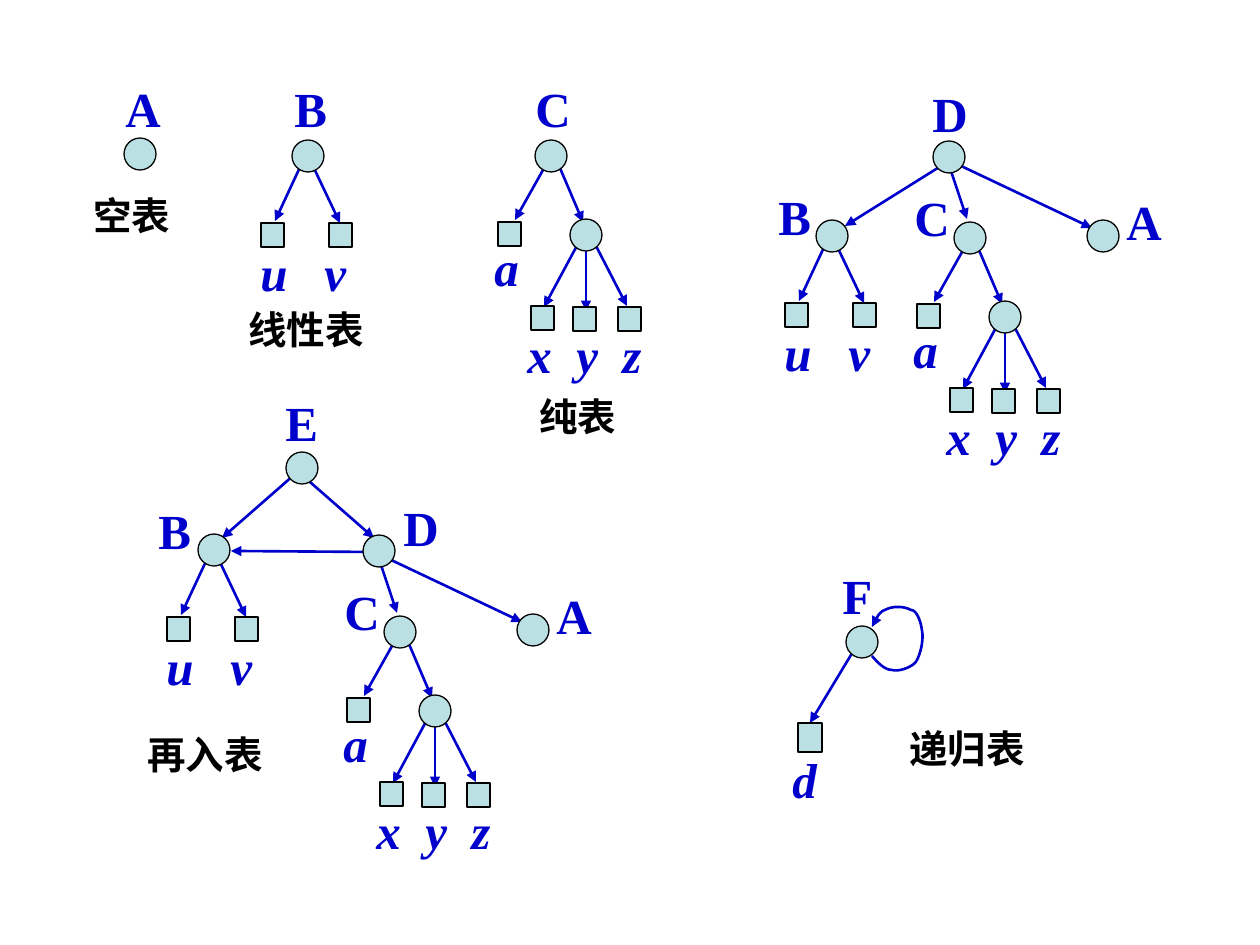
"""Draw generalized lists A to F as node-and-arrow trees on one slide."""
from lxml import etree
from pptx import Presentation
from pptx.dml.color import RGBColor
from pptx.enum.shapes import MSO_CONNECTOR, MSO_SHAPE
from pptx.oxml.ns import qn
from pptx.util import Pt

ELLIPSE, SQUARE = MSO_SHAPE.OVAL, MSO_SHAPE.RECTANGLE
STRAIGHT = MSO_CONNECTOR.STRAIGHT
EMU_PER_PX = 914400 / 126
FONT = "Times New Roman"
COLORS = {"ink": "0000CC", "node": "BBE0E3", "black": "000000"}
NODE_SIZE, LEAF_SIZE, LABEL_SIZE = 32, (23, 24), (64, 72)
CURVE_STEPS = 8

# Offsets within a tree are measured from the centre of its root.
TREES = {
    "A": {},
    "B": {
        "edges": [(-6, 7, -33, 65), (4, 8, 32, 67)],
        "leaves": [(-47, 67), (21, 67)],
        "text": ("u\tv", -60, 80, 120, (64,)),
    },
    "C": {
        "edges": [(-4, 7, -36, 64), (6, 5, 32, 66)],
        "leaves": [(-53, 66)],
        "text": ("a", -69, 75, 60, ()),
        "children": [("fan", 35, 79)],
    },
    "fan": {
        "edges": [(-7, 7, -42, 72), (0, -3, 0, 76), (8, 7, 41, 71)],
        "leaves": [(-55, 71), (-13, 72), (32, 72)],
        "text": ("x\ty\tz", -71, 83, 150, (49, 95)),
    },
    "D": {
        "edges": [(1, 11, 18, 62), (10, 8, 143, 71)],
        "children": [("C", 21, 81), ("A", 154, 79)],
        "labels": [("C", -47, 24), ("A", 165, 28)],
    },
    "E": {"edges": [(-8, 7, -80, 70), (0, 7, 72, 70), (70, 84, -71, 83)]},
    "F": {
        "edges": [(-8, 8, -52, 81)],
        "leaves": [(-64, 81)],
        "leaf_size": (24, 29),
        "text": ("d", -82, 101, 60, ()),
    },
}
PLACEMENTS = [
    ("A", (140, 154), (113, 72)),
    ("B", (308, 156), (282, 72)),
    ("C", (551, 156), (523, 72)),
    ("D", (949, 157), (920, 77)),
    ("B", (832, 236), (766, 180)),
    ("E", (302, 468), (273, 386)),
    ("B", (214, 550), (146, 494)),
    ("D", (379, 551), (391, 491)),
    ("F", (862, 642), (830, 559)),
]
D_TO_B = (941, 166, 845, 226)
CAPTIONS = [
    ("空表", 81, 186),
    ("线性表", 236, 300),
    ("纯表", 527, 387),
    ("再入表", 135, 725),
    ("递归表", 897, 719),
]
LOOP_START = (872, 656)
LOOP_CURVES = [
    ((878, 663), (885, 670), (892, 670)),
    ((898, 672), (911, 668), (916, 662)),
    ((921, 654), (924, 639), (922, 630)),
    ((921, 622), (917, 610), (911, 610)),
    ((904, 606), (892, 606), (885, 610)),
    ((878, 612), (874, 624), (872, 627)),
]


def px(*values):
    return [round(value * EMU_PER_PX) for value in values]


def color(name):
    return RGBColor.from_string(COLORS[name])


def add_text(slide, text, left, top, width, height, size=28, ink="ink", italic=False, tabs=()):
    box = slide.shapes.add_textbox(*px(left, top, width, height))
    frame = box.text_frame
    frame.word_wrap = True
    paragraph = frame.paragraphs[0]
    paragraph.text = text
    if tabs:
        properties = paragraph._p.get_or_add_pPr()
        tab_list = etree.SubElement(properties, qn("a:tabLst"))
        for position in px(*tabs):
            etree.SubElement(tab_list, qn("a:tab"), pos=str(position), algn="l")
    for run in paragraph.runs:
        font = run.font
        font.name, font.size, font.bold, font.italic = FONT, Pt(size), True, italic
        font.color.rgb = color(ink)


def style_arrow(shape):
    shape.line.color.rgb = color("ink")
    shape.line.width = Pt(1.5)
    line = shape.line._get_or_add_ln()
    etree.SubElement(line, qn("a:tailEnd"), type="triangle")


def add_arrow(slide, *ends):
    connector = slide.shapes.add_connector(STRAIGHT, *px(*ends))
    style_arrow(connector)
    etree.SubElement(connector._element.spPr, qn("a:effectLst"))


def add_node(slide, kind, left, top, width, height):
    shape = slide.shapes.add_shape(kind, *px(left, top, width, height))
    shape.shadow.inherit = False
    shape.fill.solid()
    shape.fill.fore_color.rgb = color("node")
    shape.line.color.rgb = color("black")
    shape.line.width = Pt(0.75)


def add_tree(slide, name, x, y):
    tree = TREES[name]
    for x1, y1, x2, y2 in tree.get("edges", []):
        add_arrow(slide, x + x1, y + y1, x + x2, y + y2)
    add_node(slide, ELLIPSE, x - NODE_SIZE / 2, y - NODE_SIZE / 2, NODE_SIZE, NODE_SIZE)
    for dx, dy in tree.get("leaves", []):
        add_node(slide, SQUARE, x + dx, y + dy, *tree.get("leaf_size", LEAF_SIZE))
    if "text" in tree:
        text, dx, dy, width, tabs = tree["text"]
        add_text(slide, text, x + dx, y + dy, width, LABEL_SIZE[1], italic=True, tabs=tabs)
    for child, dx, dy in tree.get("children", []):
        add_tree(slide, child, x + dx, y + dy)
    for label, dx, dy in tree.get("labels", []):
        add_text(slide, label, x + dx, y + dy, *LABEL_SIZE)


def curve_points(start, curves):
    points = []
    for first, second, end in curves:
        for step in range(1, CURVE_STEPS + 1):
            t = step / CURVE_STEPS
            weights = ((1 - t) ** 3, 3 * t * (1 - t) ** 2, 3 * t * t * (1 - t), t ** 3)
            corners = (start, first, second, end)
            points.append(tuple(px(*(
                sum(weight * corner[axis] for weight, corner in zip(weights, corners))
                for axis in (0, 1)
            ))))
        start = end
    return points


def add_loop(slide):
    builder = slide.shapes.build_freeform(*px(*LOOP_START))
    builder.add_line_segments(curve_points(LOOP_START, LOOP_CURVES), close=False)
    loop = builder.convert_to_shape()
    loop.shadow.inherit = False
    loop.fill.background()
    style_arrow(loop)


def main():
    presentation = Presentation()
    presentation.slide_width, presentation.slide_height = px(1260, 945)
    slide = presentation.slides.add_slide(presentation.slide_layouts[6])
    add_arrow(slide, *D_TO_B)
    for name, center, label_place in PLACEMENTS:
        add_tree(slide, name, *center)
        add_text(slide, name, *label_place, *LABEL_SIZE)
    add_loop(slide)
    for text, left, top in CAPTIONS:
        add_text(slide, text, left, top, 30 + 39 * len(text), 59, size=22, ink="black")
    presentation.save("out.pptx")


if __name__ == "__main__":
    main()
